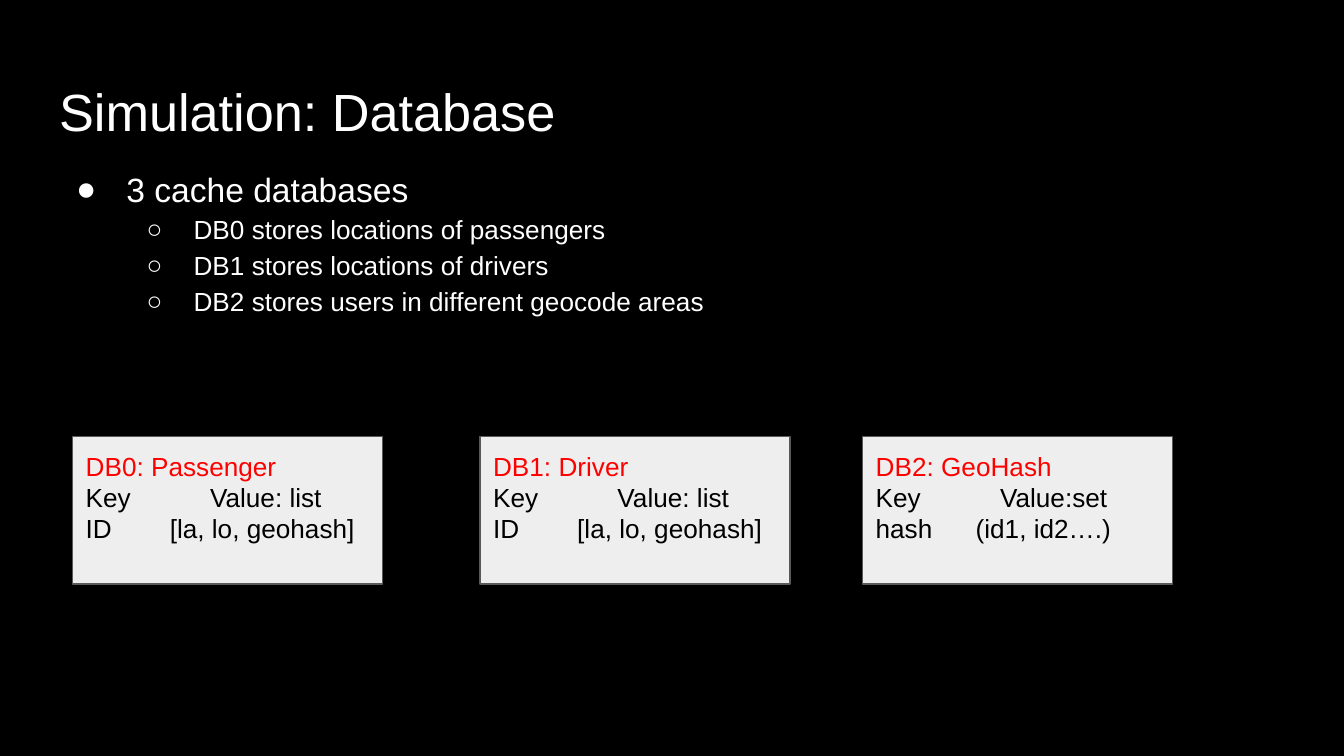
from lxml import etree
from pptx import Presentation
from pptx.dml.color import RGBColor
from pptx.enum.shapes import MSO_SHAPE
from pptx.enum.text import MSO_ANCHOR, PP_ALIGN
from pptx.oxml.ns import qn
from pptx.util import Cm, Pt


def paint(part, color):
    part.solid()
    part.fore_color.rgb = RGBColor.from_string(color)


def write(frame, rows):
    """Fill a frame with (text, size, color) rows and return the paragraphs."""
    look = {"word_wrap": True, "vertical_anchor": MSO_ANCHOR.TOP}
    for side in ("left", "top", "right", "bottom"):
        look["margin_" + side] = Cm(0.25)
    for name, value in look.items():
        setattr(frame, name, value)
    paras = []
    for i, (text, size, color) in enumerate(rows):
        para = frame.add_paragraph() if i else frame.paragraphs[0]
        para.alignment = PP_ALIGN.LEFT
        run = para.add_run()
        run.text = text
        for name, value in {"name": "Arial", "size": Pt(size)}.items():
            setattr(run.font, name, value)
        paint(run.font.fill, color)
        paras.append(para)
    return paras


deck = Presentation()
deck.slide_width, deck.slide_height = Cm(25.4), Cm(14.28)
slide = deck.slides.add_slide(deck.slide_layouts[6])
paint(slide.background.fill, "000000")

# Title
title = slide.shapes.add_textbox(Cm(0.87), Cm(1.24), Cm(23.67), Cm(1.6))
write(title.text_frame, [("Simulation: Database", 28, "FFFFFF")])

# Bullet list
items = [
    ("3 cache databases", 18, "FFFFFF"),
    ("DB0 stores locations of passengers", 14, "FFFFFF"),
    ("DB1 stores locations of drivers", 14, "FFFFFF"),
    ("DB2 stores users in different geocode areas", 14, "FFFFFF"),
]
body = slide.shapes.add_textbox(Cm(0.87), Cm(2.82), Cm(23.67), Cm(9.5))
for i, para in enumerate(write(body.text_frame, items)):
    level = 1 if i else 0
    para.level = level
    para.line_spacing = 1.15
    props = para._p.get_or_add_pPr()
    props.set("marL", str(Cm(1.27 * (level + 1))))
    props.set("indent", str(-Cm((0.95, 0.89)[level])))
    tint = etree.SubElement(props, qn("a:buClr"))
    etree.SubElement(tint, qn("a:srgbClr"), val="FFFFFF")
    etree.SubElement(props, qn("a:buFont"), typeface="Arial")
    etree.SubElement(props, qn("a:buChar"), char="●○"[level])

# Database cards: left edge, heading, then key, value and tab stop per row
cards = [
    (1.37, "DB0: Passenger",
     [("Key", "Value: list", 2.35), ("ID", "[la, lo, geohash]", 1.59)]),
    (9.07, "DB1: Driver",
     [("Key", "Value: list", 2.35), ("ID", "[la, lo, geohash]", 1.59)]),
    (16.3, "DB2: GeoHash",
     [("Key", "Value:set", 2.35), ("hash", "(id1, id2….)", 1.89)]),
]
for left, head, pairs in cards:
    card = slide.shapes.add_shape(
        MSO_SHAPE.RECTANGLE, Cm(left), Cm(8.25), Cm(5.86), Cm(2.78))
    card.shadow.inherit = False
    paint(card.fill, "EEEEEE")
    paint(card.line.fill, "595959")
    card.line.width = Pt(0.75)
    rows = [(head, 14, "FF0000")]
    rows += [(f"{key}\t{value}", 14, "000000") for key, value, stop in pairs]
    paras = write(card.text_frame, rows)
    for para, (key, value, stop) in zip(paras[1:], pairs):
        tabs = etree.SubElement(para._p.get_or_add_pPr(), qn("a:tabLst"))
        etree.SubElement(tabs, qn("a:tab"), pos=str(Cm(stop)), algn="l")

deck.save("out.pptx")
